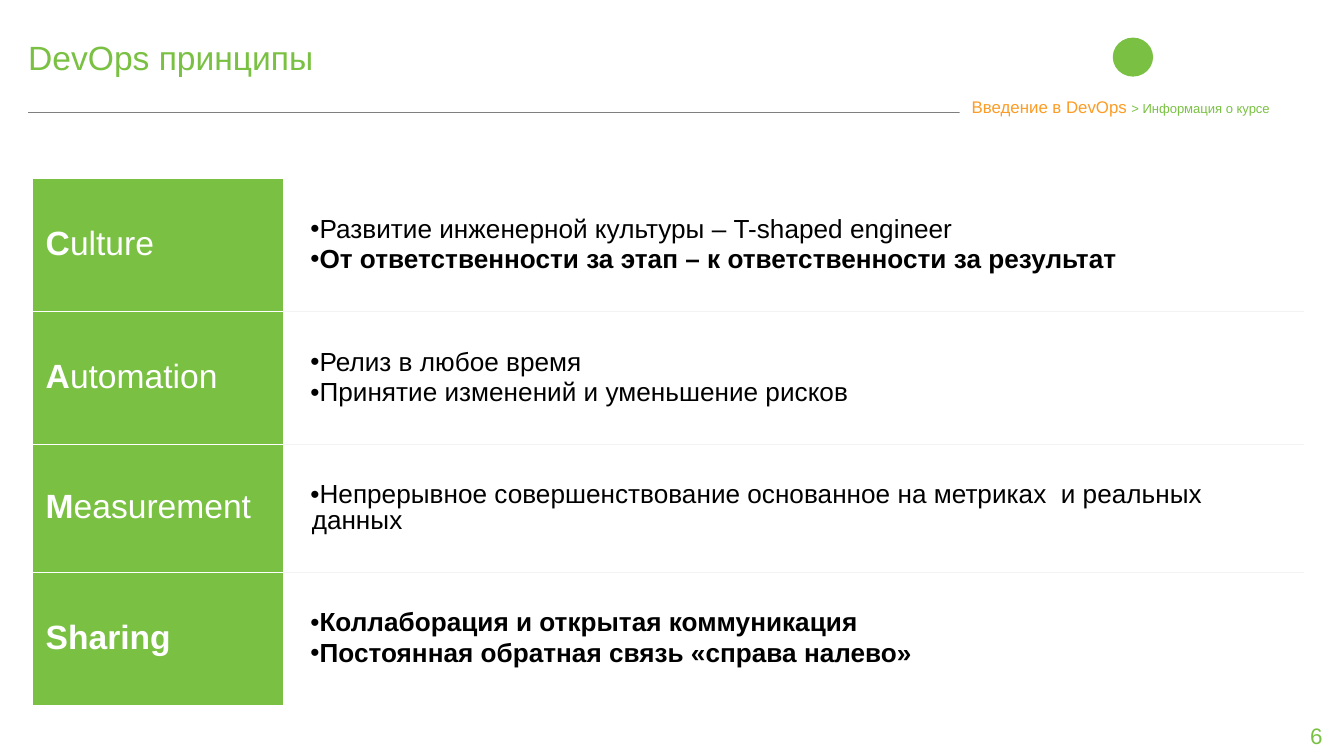
from lxml.etree import SubElement
from pptx import Presentation
from pptx.dml.color import RGBColor
from pptx.enum.shapes import MSO_CONNECTOR, MSO_SHAPE
from pptx.enum.text import MSO_ANCHOR, MSO_AUTO_SIZE, PP_ALIGN
from pptx.oxml import parse_xml
from pptx.oxml.ns import nsdecls, qn
from pptx.util import Inches, Pt

FONT = "Arial"
GREEN, ORANGE, WHITE, BLACK = "7AC143", "FC9C24", "FFFFFF", "000000"
HEADER_RULE, ROW_RULE = "7F7F7F", "F3F3F3"

# Each row: bold start of the label, its rest, and (text, bold) points
PRINCIPLES = [
    ("C", "ulture", [
        ("Развитие инженерной культуры – T-shaped engineer", False),
        ("От ответственности за этап – к ответственности за результат", True)]),
    ("A", "utomation", [
        ("Релиз в любое время", False),
        ("Принятие изменений и уменьшение рисков", False)]),
    ("M", "easurement", [
        ("Непрерывное совершенствование основанное на метриках  и реальных данных", False)]),
    ("Sharing", "", [
        ("Коллаборация и открытая коммуникация", True),
        ("Постоянная обратная связь «справа налево»", True)]),
]


def color(hex_value):
    return RGBColor.from_string(hex_value)


def add_run(paragraph, text, size, hex_value, bold=False):
    run = paragraph.add_run()
    run.text = text
    run.font.name = FONT
    run.font.size = Pt(size)
    run.font.bold = bold
    run.font.color.rgb = color(hex_value)


def set_margins(target, horizontal, vertical):
    target.margin_left = target.margin_right = Inches(horizontal)
    target.margin_top = target.margin_bottom = Inches(vertical)


def add_plain_shape(slide, kind, left, top, width, height, fill):
    shape = slide.shapes.add_shape(
        kind, Inches(left), Inches(top), Inches(width), Inches(height))
    shape.shadow.inherit = False
    shape.fill.solid()
    shape.fill.fore_color.rgb = color(fill)
    shape.line.fill.background()
    return shape


def add_header(slide, left, top, width):
    # Title
    title = slide.shapes.title
    title.left, title.top = Inches(left), Inches(top)
    title.width, title.height = Inches(7.74), Inches(0.31)
    frame = title.text_frame
    set_margins(frame, 0, 0)
    frame.auto_size = MSO_AUTO_SIZE.NONE
    frame.vertical_anchor = MSO_ANCHOR.MIDDLE
    paragraph = frame.paragraphs[0]
    paragraph.alignment = PP_ALIGN.LEFT
    add_run(paragraph, "DevOps принципы", 18, GREEN)

    # Plain emblem
    add_plain_shape(slide, MSO_SHAPE.OVAL, left + 8.07, top + 0.01, 0.3, 0.29, GREEN)

    # Rule under the title
    line_top = Inches(top + 0.57)
    line = slide.shapes.add_connector(
        MSO_CONNECTOR.STRAIGHT, Inches(left), line_top, Inches(left + width), line_top)
    line.line.color.rgb = color(HEADER_RULE)
    line.line.width = Pt(0.5)
    SubElement(line._element.spPr, qn("a:effectLst"))

    # Breadcrumb, covering the end of the rule
    breadcrumb = add_plain_shape(
        slide, MSO_SHAPE.RECTANGLE, left + 6.93, top + 0.41, 2.77, 0.28, WHITE)
    frame = breadcrumb.text_frame
    frame.word_wrap = True
    set_margins(frame, 0.09, 0.04)
    frame.vertical_anchor = MSO_ANCHOR.TOP
    paragraph = frame.paragraphs[0]
    paragraph.alignment = PP_ALIGN.LEFT
    add_run(paragraph, "Введение в DevOps ", 9, ORANGE)
    add_run(paragraph, "> Информация о курсе", 7, GREEN)


def set_borders(cell, borders):
    """Take (side, colour) pairs in the order L, R, T, B."""
    properties = cell._tc.get_or_add_tcPr()
    for index, (side, hex_value) in enumerate(borders):
        properties.insert(index, parse_xml(
            f'<a:ln{side} {nsdecls("a")} w="9525"><a:solidFill>'
            f'<a:srgbClr val="{hex_value}"/></a:solidFill></a:ln{side}>'))


def add_bullet(paragraph):
    properties = paragraph._p.get_or_add_pPr()
    properties.set("marL", str(Inches(0.11)))
    properties.set("indent", str(Inches(-0.01)))
    bullet_color = SubElement(properties, qn("a:buClr"))
    SubElement(bullet_color, qn("a:srgbClr"), val=BLACK)
    SubElement(properties, qn("a:buFont"), typeface=FONT)
    SubElement(properties, qn("a:buChar"), char="•")


def fill_label(cell, initial, rest):
    cell.fill.solid()
    cell.fill.fore_color.rgb = color(GREEN)
    set_borders(cell, [(side, WHITE) for side in "LTB"])
    paragraph = cell.text_frame.paragraphs[0]
    paragraph.line_spacing = 0.9
    add_run(paragraph, initial, 18, WHITE, True)
    if rest:
        add_run(paragraph, rest, 18, WHITE)


def fill_points(cell, points, is_first, is_last):
    cell.fill.background()
    set_borders(cell, [("T", WHITE if is_first else ROW_RULE),
                       ("B", WHITE if is_last else ROW_RULE)])
    frame = cell.text_frame
    for index, (text, bold) in enumerate(points):
        paragraph = frame.add_paragraph() if index else frame.paragraphs[0]
        paragraph.level = 1
        paragraph.line_spacing = 0.9
        paragraph.space_before = Pt(2 if index else 0)
        add_bullet(paragraph)
        add_run(paragraph, text, 14, BLACK, bold)


def add_principles(slide, left, top, width, height):
    table = slide.shapes.add_table(
        len(PRINCIPLES), 2, Inches(left), Inches(top), Inches(width), Inches(height)).table
    table.first_row = table.horz_banding = False
    table.columns[0].width = Inches(1.87)
    table.columns[1].width = Inches(width - 1.87)
    last = len(PRINCIPLES) - 1
    for index, (initial, rest, points) in enumerate(PRINCIPLES):
        table.rows[index].height = Inches(0.99 if len(points) > 1 else 0.95)
        label, details = table.cell(index, 0), table.cell(index, 1)
        for cell in (label, details):
            set_margins(cell, 0.1, 0.1)
            cell.vertical_anchor = MSO_ANCHOR.MIDDLE
        fill_label(label, initial, rest)
        fill_points(details, points, index == 0, index == last)


def add_page_number(slide, left, top, width, height):
    box = slide.shapes.add_textbox(
        Inches(left), Inches(top), Inches(width), Inches(height))
    frame = box.text_frame
    frame.word_wrap = True
    set_margins(frame, 0, 0)
    paragraph = frame.paragraphs[0]
    paragraph.alignment = PP_ALIGN.RIGHT
    add_run(paragraph, "6", 12, GREEN)


def main():
    presentation = Presentation()
    # Widescreen, 16:9
    presentation.slide_width = Inches(10)
    presentation.slide_height = Inches(10 * 9 / 16)
    slide = presentation.slides.add_slide(presentation.slide_layouts[5])
    add_header(slide, 0.21, 0.27, 9.58)
    add_principles(slide, 0.24, 1.33, 9.46, 3.93)
    add_page_number(slide, 9.61, 5.37, 0.23, 0.13)
    presentation.save("out.pptx")


if __name__ == "__main__":
    main()
